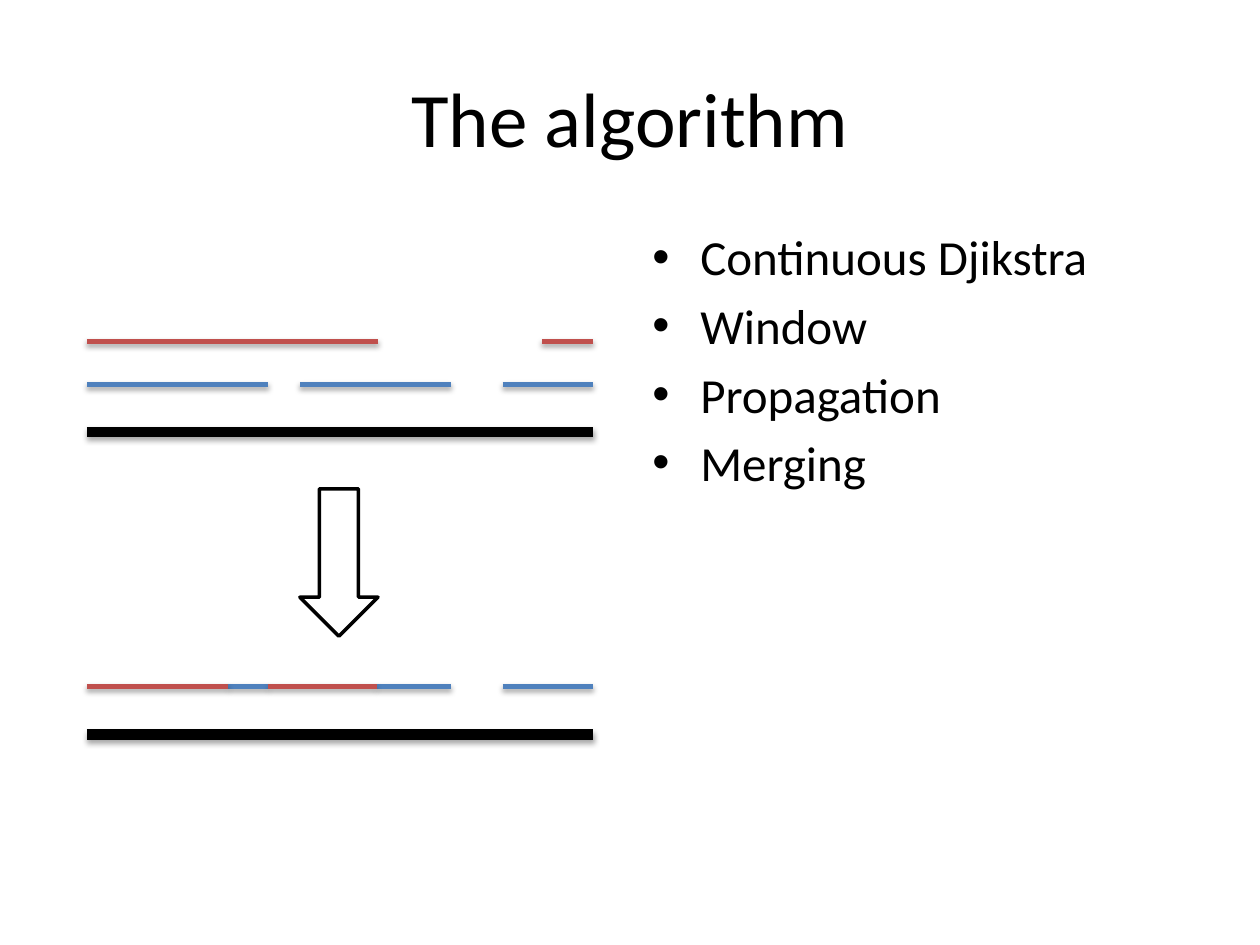
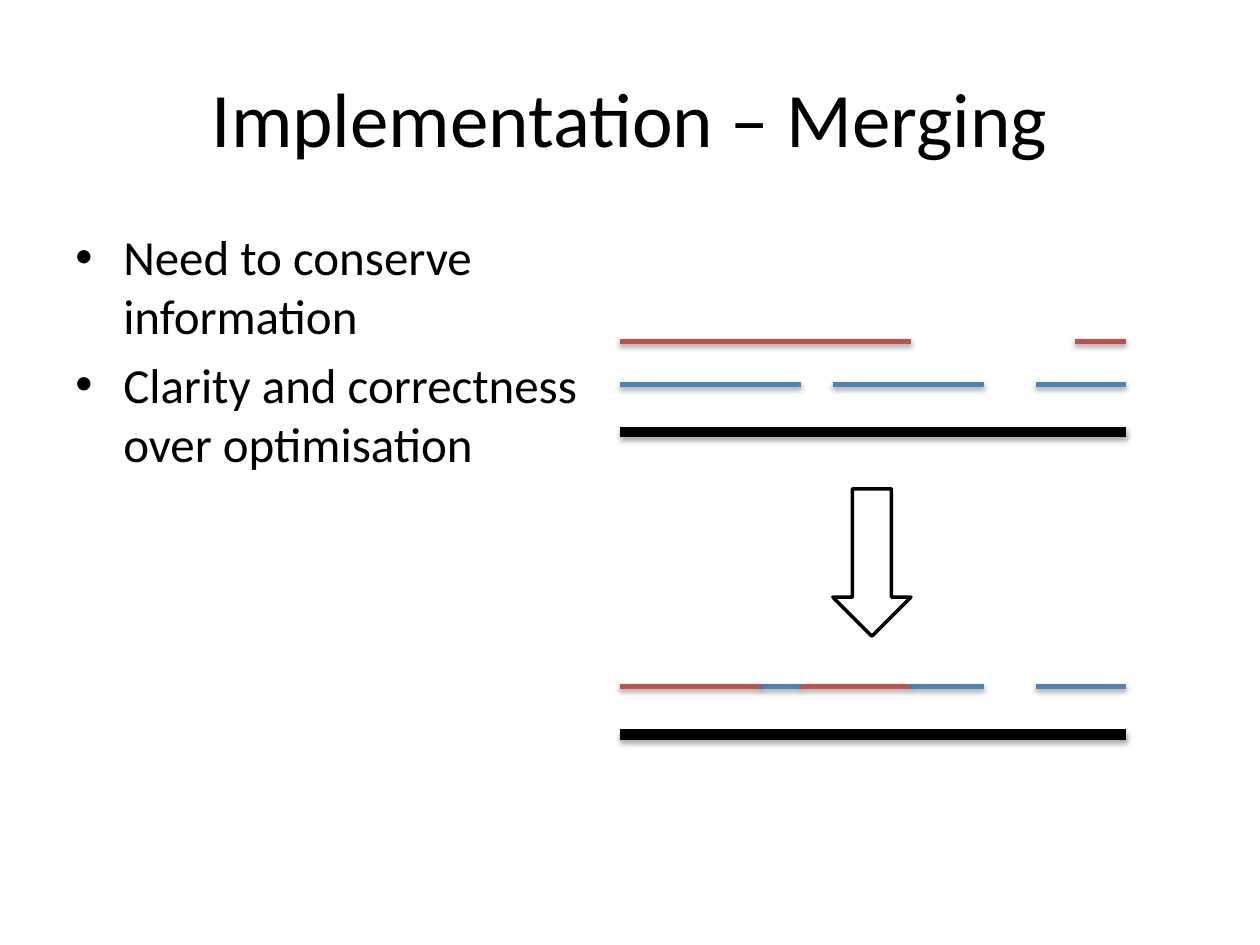
import dataclasses

import lxml.etree
import pptx
import pptx.dml.color
import pptx.enum.shapes
import pptx.enum.text
import pptx.oxml.ns
import pptx.util

Inches = pptx.util.Inches
Pt = pptx.util.Pt
RGBColor = pptx.dml.color.RGBColor
qn = pptx.oxml.ns.qn


@dataclasses.dataclass(frozen=True)
class Theme:
    font: str = "Calibri"
    ink: RGBColor = RGBColor(0x00, 0x00, 0x00)
    paper: RGBColor = RGBColor(0xFF, 0xFF, 0xFF)
    blue: RGBColor = RGBColor(0x4F, 0x81, 0xBD)
    red: RGBColor = RGBColor(0xC0, 0x50, 0x4D)
    title_size: int = 44
    body_size: int = 28
    edge_width: int = 6
    window_width: int = 3
    arrow_width: int = 2


THEME = Theme()
EDGE_LENGTH = 4.02
BEFORE_EDGE_Y, AFTER_EDGE_Y = 3.43, 5.83
OLD_WINDOWS_Y, NEW_WINDOWS_Y, MERGED_Y = 3.05, 2.71, 5.45
OLD_WINDOWS = [(0, 1.44), (1.69, 2.89), (3.3, EDGE_LENGTH)]
NEW_WINDOWS = [(0, 2.31), (3.61, EDGE_LENGTH)]
MERGED_OLD = [(1.12, 1.44), (2.3, 2.89), (3.3, EDGE_LENGTH)]
MERGED_NEW = [(0, 1.12), (1.44, 2.3)]


def apply_format(target, values):
    for name, value in values.items():
        setattr(target, name, value)


def add_text(slide, box, paragraphs, size, frame_format, paragraph_format):
    frame = slide.shapes.add_textbox(*map(Inches, box)).text_frame
    apply_format(frame, {"word_wrap": True, **frame_format})
    frame.text = "\n".join(paragraphs)
    for paragraph in frame.paragraphs:
        apply_format(paragraph, paragraph_format)
        apply_format(paragraph.font, {"name": THEME.font, "size": Pt(size)})
        paragraph.font.color.rgb = THEME.ink
    return frame


def add_title(slide, title):
    add_text(slide, (0.5, 0.3, 9, 1.25), [title], THEME.title_size,
             {"vertical_anchor": pptx.enum.text.MSO_ANCHOR.MIDDLE},
             {"alignment": pptx.enum.text.PP_ALIGN.CENTER})


def add_bullets(slide, left, points):
    frame = add_text(slide, (left, 1.75, 4.42, 4.95), points, THEME.body_size, {},
                     {"space_before": Pt(0.2 * THEME.body_size)})
    indent = Inches(0.38)
    for paragraph in frame.paragraphs:
        properties = paragraph._p.get_or_add_pPr()
        properties.set("marL", str(indent))
        properties.set("indent", str(-indent))
        marker_font = lxml.etree.Element(qn("a:buFont"), typeface="Arial")
        marker = lxml.etree.Element(qn("a:buChar"), char="•")
        spacing = properties.find(qn("a:spcBef"))
        spacing.addnext(marker_font)
        marker_font.addnext(marker)


def add_shadow(line):
    effects = lxml.etree.SubElement(line._element.spPr, qn("a:effectLst"))
    shadow = lxml.etree.SubElement(
        effects, qn("a:outerShdw"), blurRad=str(Pt(3.1)), dist=str(Pt(1.8)),
        dir="5400000", rotWithShape="0")
    color = lxml.etree.SubElement(shadow, qn("a:srgbClr"), val=str(THEME.ink))
    lxml.etree.SubElement(color, qn("a:alpha"), val="35000")


def add_segments(slide, left, y, spans, color, width):
    for start, end in spans:
        segment = slide.shapes.add_connector(
            pptx.enum.shapes.MSO_CONNECTOR.STRAIGHT,
            Inches(left + start), Inches(y), Inches(left + end), Inches(y))
        segment.line.color.rgb = color
        segment.line.width = Pt(width)
        add_shadow(segment)


def add_down_arrow(slide, left):
    arrow = slide.shapes.add_shape(
        pptx.enum.shapes.MSO_SHAPE.DOWN_ARROW,
        Inches(left), Inches(3.88), Inches(0.62), Inches(1.17))
    arrow.shadow.inherit = False
    arrow.fill.solid()
    arrow.fill.fore_color.rgb = THEME.paper
    arrow.line.color.rgb = THEME.ink
    arrow.line.width = Pt(THEME.arrow_width)


def add_merging_diagram(slide, left):
    edge = [(0, EDGE_LENGTH)]
    for y, spans, color, width in [
        (BEFORE_EDGE_Y, edge, THEME.ink, THEME.edge_width),
        (OLD_WINDOWS_Y, OLD_WINDOWS, THEME.blue, THEME.window_width),
        (NEW_WINDOWS_Y, NEW_WINDOWS, THEME.red, THEME.window_width),
        (AFTER_EDGE_Y, edge, THEME.ink, THEME.edge_width),
        (MERGED_Y, MERGED_OLD, THEME.blue, THEME.window_width),
        (MERGED_Y, MERGED_NEW, THEME.red, THEME.window_width),
    ]:
        add_segments(slide, left, y, spans, color, width)
    add_down_arrow(slide, left + 1.69)


def add_topic_slide(deck, title, bullets_left, points, diagram_left):
    slide = deck.slides.add_slide(deck.slide_layouts[6])
    slide.background.fill.solid()
    slide.background.fill.fore_color.rgb = THEME.paper
    add_title(slide, title)
    add_bullets(slide, bullets_left, points)
    add_merging_diagram(slide, diagram_left)


def main():
    deck = pptx.Presentation()
    apply_format(deck, {"slide_width": Inches(10), "slide_height": Inches(7.5)})
    add_topic_slide(deck, "The algorithm", 5.08,
                    ["Continuous Djikstra", "Window", "Propagation", "Merging"], 0.69)
    add_topic_slide(deck, "Implementation – Merging", 0.5,
                    ["Need to conserve information",
                     "Clarity and correctness over optimisation"], 4.92)
    deck.save("out.pptx")


if __name__ == "__main__":
    main()
